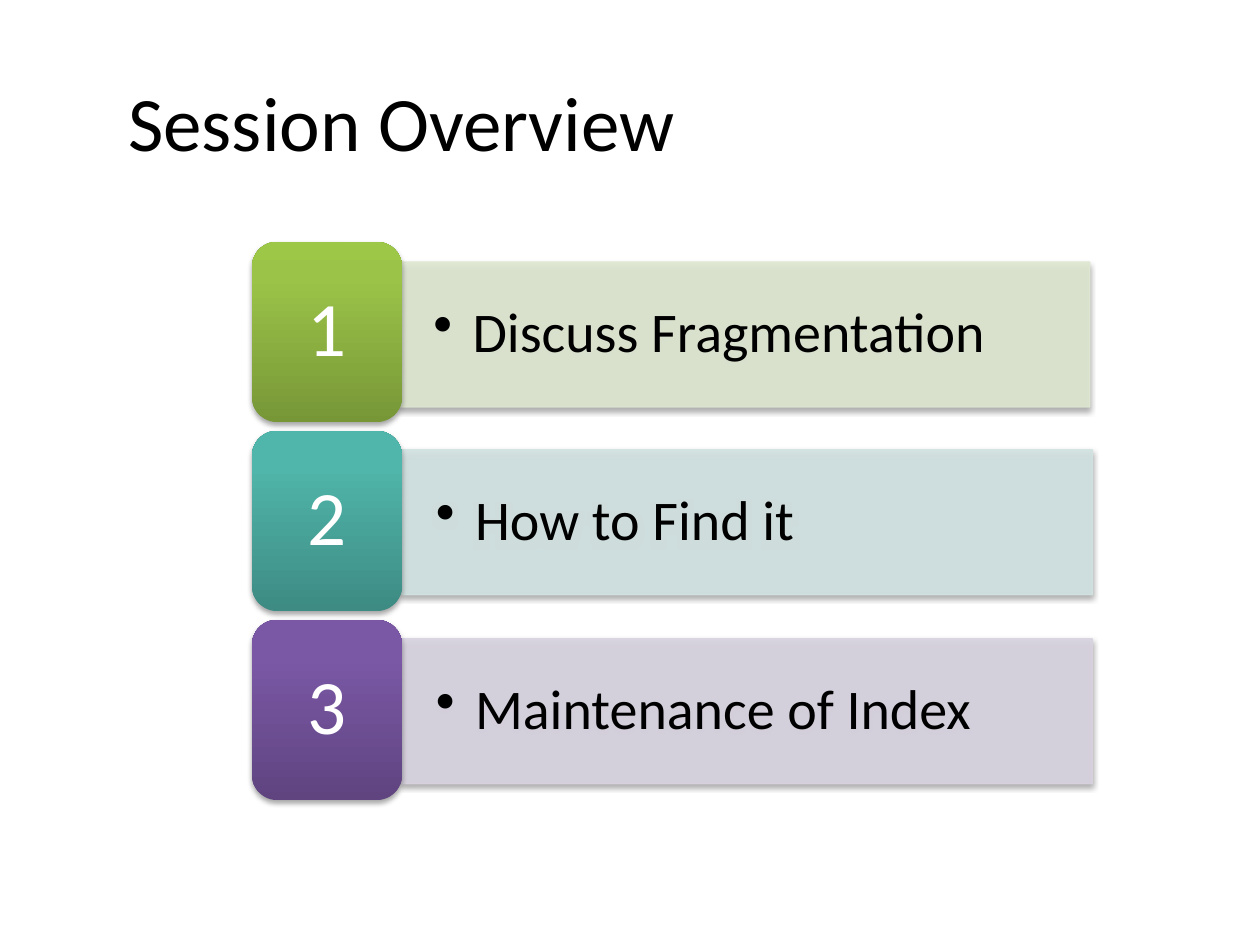
"""Builds the session overview slide with three numbered bars."""
import pptx
import pptx.dml.color
import pptx.enum.shapes
import pptx.enum.text
import pptx.oxml
import pptx.oxml.ns
import pptx.util

RGB = pptx.dml.color.RGBColor
SHAPE = pptx.enum.shapes.MSO_SHAPE
ALIGN = pptx.enum.text.PP_ALIGN
BLACK = RGB(0x00, 0x00, 0x00)
WHITE = RGB(0xFF, 0xFF, 0xFF)
LIME = [RGB(0x77, 0x97, 0x37), RGB(0x9B, 0xC3, 0x48), RGB(0x9D, 0xC7, 0x46)]
TEAL = [RGB(0x3D, 0x8B, 0x83), RGB(0x50, 0xB5, 0xAA), RGB(0x4E, 0xB8, 0xAC)]
PLUM = [RGB(0x5F, 0x44, 0x80), RGB(0x7B, 0x58, 0xA6), RGB(0x7C, 0x57, 0xA8)]
PALE_LIME = RGB(0xDE, 0xE7, 0xD1)
PALE_TEAL = RGB(0xD2, 0xE3, 0xE2)
PALE_PLUM = RGB(0xD8, 0xD3, 0xE0)
STOPS = (0, 80, 100)
SCALE = 9144
TOP, PITCH = 192, 150
ROWS = [
    ("Discuss Fragmentation", LIME, PALE_LIME, 317, 208),
    ("How to Find it", TEAL, PALE_TEAL, 319, 357),
    ("Maintenance of Index", PLUM, PALE_PLUM, 319, 507),
]


def px(count):
    return pptx.util.Emu(count * SCALE)


def parse_xml(body, tag):
    space = pptx.oxml.ns.nsdecls("a")
    return pptx.oxml.parse_xml(f"<a:{tag} {space}{body}</a:{tag}>")


def write(shape, text, size=44, color=BLACK, align=ALIGN.LEFT, pad=(10, 5),
          space=1.0, bullet=False):
    frame = shape.text_frame
    frame.word_wrap = True
    frame.vertical_anchor = pptx.enum.text.MSO_ANCHOR.MIDDLE
    frame.margin_left = frame.margin_right = px(pad[0])
    frame.margin_top = frame.margin_bottom = px(pad[1])
    para = frame.paragraphs[0]
    para.alignment = align
    para.line_spacing = space
    run = para.add_run()
    run.text = text
    run.font.name = "Calibri"
    run.font.size = pptx.util.Pt(size)
    run.font.color.rgb = color
    if bullet:
        props = para._p.get_or_add_pPr()
        props.set("marL", str(px(31)))
        props.set("indent", str(-px(31)))
        props.append(parse_xml(' char="•">', "buChar"))


class Deck:
    def __init__(self):
        self.show = pptx.Presentation()
        self.show.slide_width, self.show.slide_height = px(1000), px(750)
        self.slide = self.show.slides.add_slide(self.show.slide_layouts[6])

    def title(self, text, *box):
        write(self.slide.shapes.add_textbox(*map(px, box)), text)

    def block(self, kind, box):
        return self.slide.shapes.add_shape(kind, *map(px, box))

    def shade(self, shape):
        shape._element.spPr.append(parse_xml(
            '><a:outerShdw blurRad="39370" dist="22860" dir="5400000" '
            'rotWithShape="0"><a:srgbClr val="000000"><a:alpha val="35000"/>'
            '</a:srgbClr></a:outerShdw>', "effectLst"))

    def bar(self, text, color, *box):
        shape = self.block(SHAPE.RECTANGLE, box)
        shape.line.width = pptx.util.Pt(0.75)
        for fill in (shape.fill, shape.line.fill):
            fill.solid()
            fill.fore_color.rgb = color
        for node in shape._element.spPr.iter(pptx.oxml.ns.qn("a:srgbClr")):
            node.append(parse_xml(' val="90000">', "alpha"))
        self.shade(shape)
        write(shape, text, size=32, pad=(27, 14), space=0.9, bullet=True)

    def badge(self, text, tones, *box):
        shape = self.block(SHAPE.ROUNDED_RECTANGLE, box)
        stops = "".join(
            f'<a:gs pos="{stop * 1000}"><a:srgbClr val="{tone}"/></a:gs>'
            for stop, tone in zip(STOPS, tones))
        shape._element.spPr.append(parse_xml(
            f' rotWithShape="1"><a:gsLst>{stops}</a:gsLst>'
            '<a:lin ang="16200000" scaled="0"/>', "gradFill"))
        shape.line.fill.background()
        self.shade(shape)
        write(shape, text, color=WHITE, align=ALIGN.CENTER, pad=(24, 14),
              space=0.9)


def main():
    deck = Deck()
    for i, (text, tones, pale, left, top) in enumerate(ROWS):
        deck.bar(text, pale, left, top, 548, 115)
        deck.badge(str(i + 1), tones, 200, TOP + i * PITCH, 119, 143)
    deck.title("Session Overview", 92, 33, 883, 125)
    deck.show.save("out.pptx")


if __name__ == "__main__":
    main()
